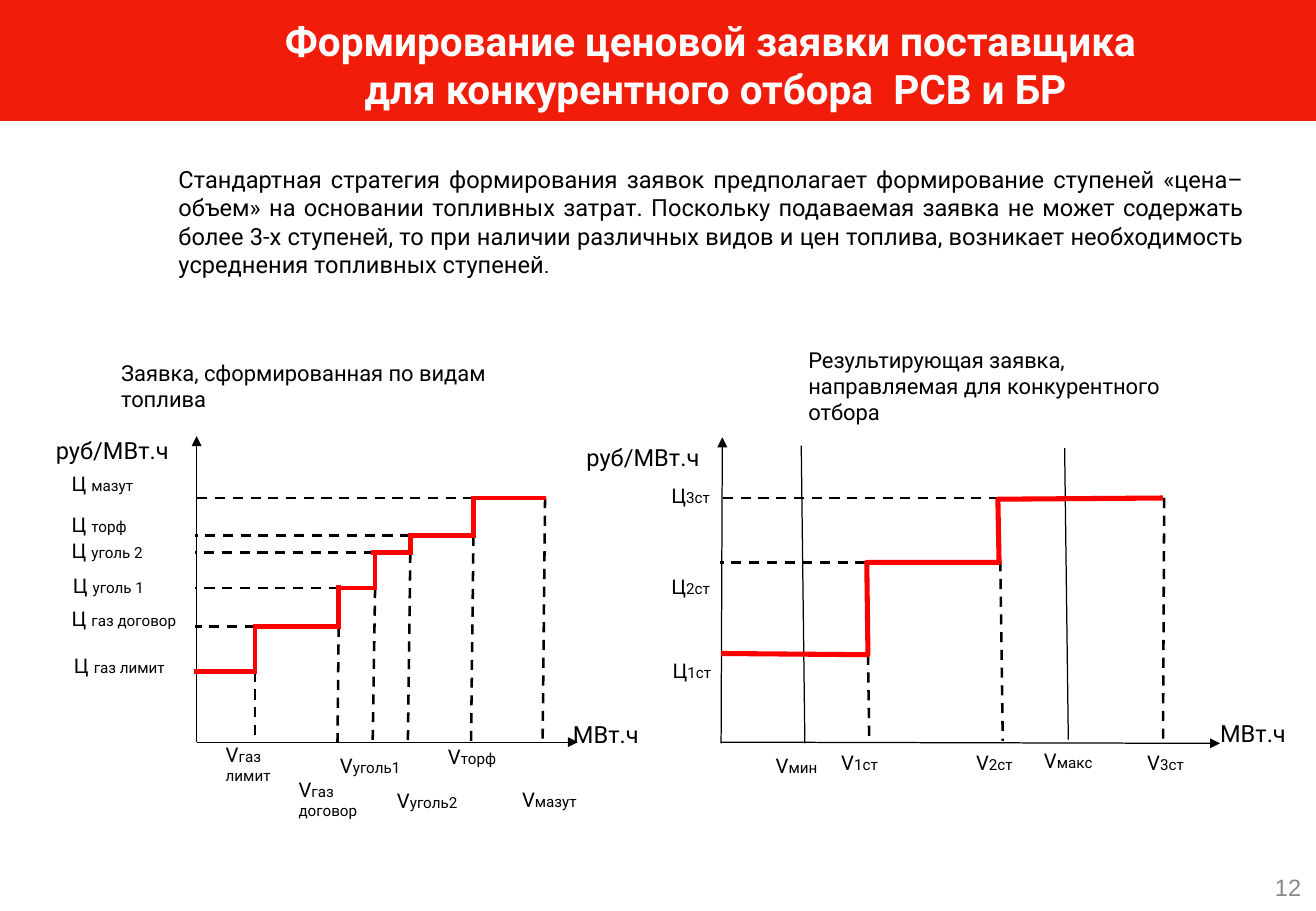
from copy import deepcopy
from dataclasses import dataclass
from lxml.etree import SubElement
from pptx import Presentation
from pptx.dml.color import RGBColor
from pptx.enum.dml import MSO_LINE
from pptx.enum.shapes import MSO_CONNECTOR, MSO_SHAPE
from pptx.enum.text import MSO_ANCHOR, MSO_AUTO_SIZE, PP_ALIGN
from pptx.oxml.ns import qn
from pptx.util import Inches, Pt


@dataclass(frozen=True)
class Theme:
    font: str = "Roboto"
    plain: str = "Arial"
    bar: RGBColor = RGBColor(0xF2, 0x1C, 0x0A)
    step: RGBColor = RGBColor(0xFF, 0, 0)
    ink: RGBColor = RGBColor(0, 0, 0)
    white: RGBColor = RGBColor(0xFF, 0xFF, 0xFF)
    grey: RGBColor = RGBColor(0x89, 0x89, 0x89)
    head: float = 24
    body: float = 14
    note: float = 13
    mark: float = 12
    sub: float = 9
    thin: float = 0.75
    dash: float = 1.5
    bold: float = 2.75
    thick: float = 3


T = Theme()
BASE = 6.11  # height of the volume axis

# Left chart: start and end of each step, foot of its drop line, price
FUELS = [
    (1.62, 2.1, 2.1, 5.53),
    (2.1, 2.79, 2.78, 5.16),
    (2.79, 3.09, 3.07, 4.84),
    (3.08, 3.38, 3.36, 4.55),
    (3.38, 3.9, 3.88, 4.41),
    (3.9, 4.49, 4.47, 4.1),
]
# Right chart: outline of the three steps
STEPS = [(5.94, 5.38), (7.15, 5.39), (7.14, 4.63), (8.23, 4.63), (8.22, 4.11), (9.58, 4.1)]
DROPS = [(7.15, 5.39, 7.16), (8.24, 4.62, 8.26), (9.59, 4.1, 9.58)]
LIMITS = [(6.6, 3.67, 6.63, 6.12), (8.77, 3.69, 8.8, 6.09)]

# Letter, index, left, top, width, height
MARKS = [
    ("Ц ", "мазут", 0.59, 3.88, 0.76, 0.2),
    ("Ц ", "торф", 0.59, 4.22, 0.76, 0.2),
    ("Ц ", "уголь 2", 0.59, 4.43, 0.72, 0.2),
    ("Ц ", "уголь 1", 0.6, 4.72, 0.77, 0.2),
    ("Ц ", "газ договор", 0.59, 4.99, 0.9, 0.2),
    ("Ц ", "газ лимит", 0.61, 5.38, 0.9, 0.2),
    ("V", "газ лимит", 1.86, 6.11, 0.4, 0.35),
    ("V", "газ договор", 2.46, 6.4, 0.54, 0.35),
    ("V", "уголь1", 2.8, 6.2, 0.59, 0.2),
    ("V", "уголь2", 3.27, 6.49, 0.57, 0.2),
    ("V", "торф", 3.69, 6.13, 0.55, 0.2),
    ("V", "мазут", 4.3, 6.48, 0.55, 0.2),
    ("Ц", "3ст", 5.53, 3.98, 0.4, 0.2),
    ("Ц", "2ст", 5.53, 4.73, 0.4, 0.2),
    ("Ц", "1ст", 5.54, 5.42, 0.4, 0.2),
    ("V", "мин", 6.39, 6.2, 0.46, 0.2),
    ("V", "1ст", 6.93, 6.18, 0.4, 0.2),
    ("V", "2ст", 8.04, 6.18, 0.4, 0.2),
    ("V", "макс", 8.6, 6.16, 0.47, 0.2),
    ("V", "3ст", 9.45, 6.18, 0.4, 0.2),
]
UNITS = [
    ("руб/МВт.ч", 0.46, 3.59, 1.08, 0.23),
    ("МВт.ч", 4.72, 5.93, 0.67, 0.23),
    ("руб/МВт.ч", 4.83, 3.65, 1.08, 0.23),
    ("МВт.ч", 10.05, 5.92, 0.67, 0.23),
]
NOTES = [
    ("Заявка, сформированная по видам топлива", 0.9, 2.89, 3.88, 0.57),
    ("Результирующая заявка, направляемая для конкурентного отбора", 6.56, 2.89, 3.42, 0.57),
]
BODY = (
    "Стандартная стратегия формирования заявок предполагает формирование ступеней "
    "«цена–объем» на основании топливных затрат. Поскольку подаваемая заявка не может "
    "содержать более 3-х ступеней, то при наличии различных видов и цен топлива, "
    "возникает необходимость усреднения топливных ступеней"
)


def apply(item, form):
    for name, value in form.items():
        setattr(item, name, value)


def style(run, size, tint=T.ink, face=T.font, bold=False):
    apply(run.font, {"size": Pt(size), "name": face, "bold": bold})
    run.font.color.rgb = tint


def frame(shape, pad=(0, 0, 0, 0), anchor=MSO_ANCHOR.TOP):
    left, top, right, foot = map(Inches, pad)
    apply(shape.text_frame, {
        "auto_size": MSO_AUTO_SIZE.NONE, "word_wrap": True, "vertical_anchor": anchor,
        "margin_left": left, "margin_top": top, "margin_right": right, "margin_bottom": foot,
    })


def label(slide, area, runs, align=PP_ALIGN.LEFT, tint=T.ink, face=T.font, **form):
    box = slide.shapes.add_textbox(*map(Inches, area))
    frame(box, **form)
    para = box.text_frame.paragraphs[0]
    para.alignment = align
    for text, size in runs:
        run = para.add_run()
        run.text = text
        style(run, size, tint, face)


def line(slide, ends, width=T.thin, tint=T.ink, dash=False, arrow=False):
    link = slide.shapes.add_connector(MSO_CONNECTOR.STRAIGHT, *map(Inches, ends))
    link.line.width = Pt(width)
    link.line.color.rgb = tint
    if dash:
        link.line.dash_style = MSO_LINE.DASH
    if arrow:
        SubElement(link.line._get_or_add_ln(), qn("a:tailEnd"), type="triangle")
    SubElement(link._element.spPr, qn("a:effectLst"))


def title(slide):
    bar = slide.shapes.add_shape(MSO_SHAPE.RECTANGLE, 0, 0, Inches(10.84), Inches(0.99))
    bar.shadow.inherit = False
    bar.fill.solid()
    bar.fill.fore_color.rgb = bar.line.color.rgb = T.bar
    bar.line.width = Pt(T.thin)
    head = slide.shapes.title
    head._element.addprevious(bar._element)
    apply(head, {"left": Inches(1.16), "top": Inches(0.13),
                 "width": Inches(9.47), "height": Inches(0.81)})
    frame(head)
    para = head.text_frame.paragraphs[0]
    para.text = "Формирование ценовой заявки поставщика \vдля конкурентного отбора  РСВ и БР"
    para.alignment = PP_ALIGN.CENTER
    for run in para.runs:
        style(run, T.head, T.white, bold=True)
    # The line break takes the type size of the text
    para._p.find(qn("a:br")).append(deepcopy(para.runs[0]._r.rPr))


def fuels(slide):
    line(slide, (1.62, BASE, 1.62, 3.59), arrow=True)
    line(slide, (1.62, BASE, 4.76, BASE), arrow=True)
    for start, end, foot, price in FUELS:
        line(slide, (end, price, foot, BASE), T.dash, dash=True)
        if price != FUELS[0][3]:
            line(slide, (start, price, 1.61, price), T.dash, dash=True)
    for start, end, _, price in FUELS:
        line(slide, (start - 0.02, price, end + 0.01, price), T.bold, T.step)
    for low, high in zip(FUELS, FUELS[1:]):
        line(slide, (low[1], low[3] + 0.02, low[1], high[3] - 0.02), T.bold, T.step)


def result(slide):
    line(slide, (5.94, 6.12, 5.95, 3.6), arrow=True)
    line(slide, (5.94, 6.11, 10.05, 6.12), arrow=True)
    for ends in LIMITS:
        line(slide, ends)
    for left, price, foot in DROPS:
        line(slide, (left, price, foot, 6.1), T.dash, dash=True)
    for left, price in ((7.13, 4.63), (8.23, 4.1)):
        line(slide, (left, price, 5.93, price), T.dash, dash=True)
    points = [(Inches(x), Inches(y)) for x, y in STEPS]
    draft = slide.shapes.build_freeform(*points[0])
    draft.add_line_segments(points[1:], close=False)
    stair = draft.convert_to_shape()
    stair.shadow.inherit = False
    stair.fill.background()
    stair.line.color.rgb = T.step
    stair.line.width = Pt(T.thick)


def main():
    deck = Presentation()
    apply(deck, {"slide_width": Inches(10.84), "slide_height": Inches(7.5)})
    slide = deck.slides.add_slide(deck.slide_layouts[5])

    # Heading and text
    title(slide)
    label(slide, (1.47, 1.31, 8.78, 1.23), [(BODY, T.body), (".", T.mark)],
          PP_ALIGN.JUSTIFY, pad=(0, 0, 0, 0.2), anchor=MSO_ANCHOR.MIDDLE)

    # Charts
    fuels(slide)
    result(slide)

    # Labels
    for text, *area in NOTES:
        label(slide, area, [(text, T.note)], pad=(0.1, 0.05, 0.1, 0.05), anchor=MSO_ANCHOR.MIDDLE)
    for text, *area in UNITS:
        label(slide, area, [(text, T.body)])
    for sign, sub, *area in MARKS:
        label(slide, area, [(sign, T.mark), (sub, T.sub)])

    # Page number
    label(slide, (10.28, 7.11, 0.56, 0.39), [("12", T.body)], PP_ALIGN.RIGHT, T.grey, T.plain,
          pad=(0.12, 0.06, 0.12, 0.06), anchor=MSO_ANCHOR.MIDDLE)
    deck.save("out.pptx")


if __name__ == "__main__":
    main()
